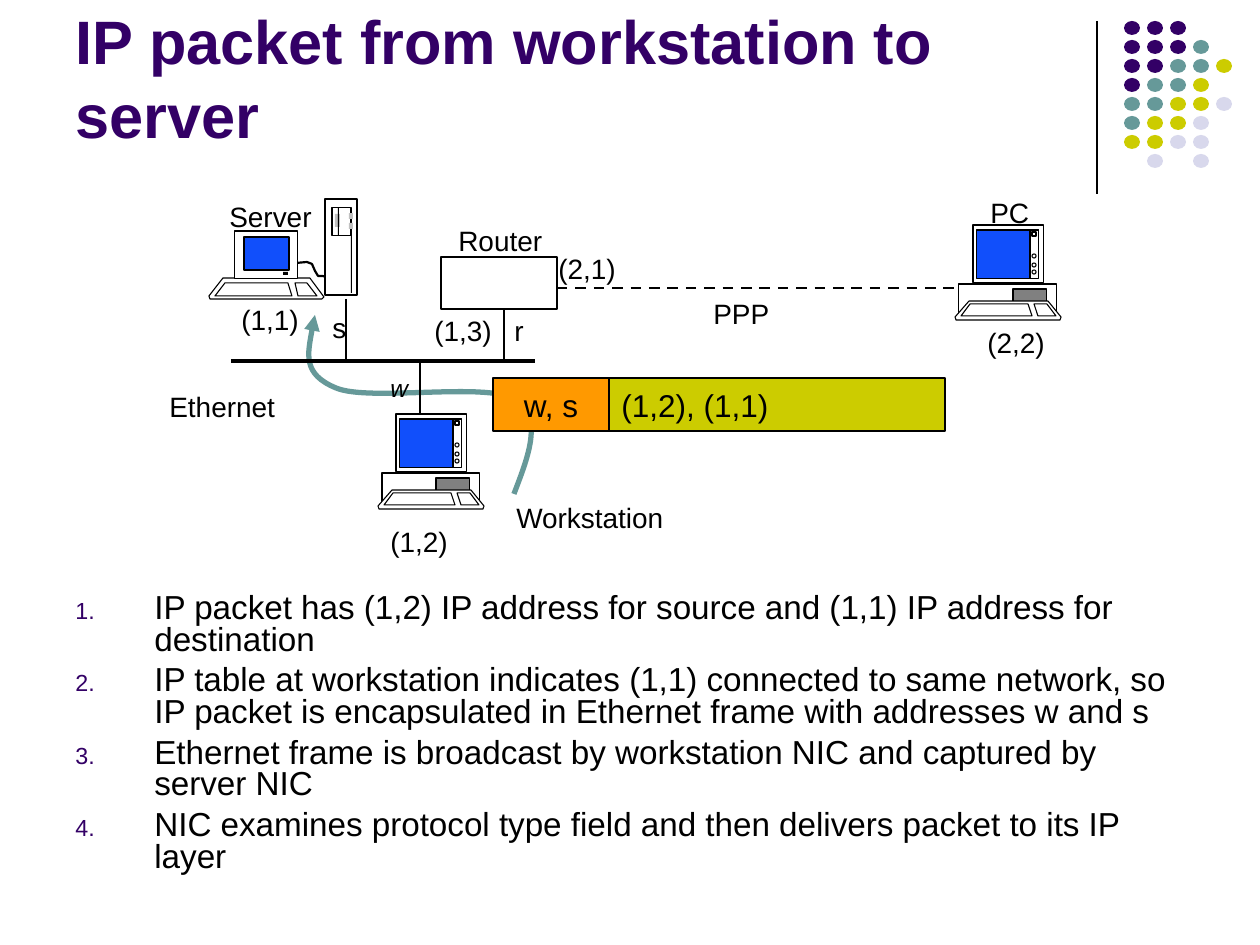
from typing import NamedTuple

from lxml import etree
from pptx import Presentation
from pptx.dml.color import RGBColor
from pptx.enum import dml, shapes, text
from pptx.oxml.ns import qn
from pptx.util import Pt

PX = 914400 / 126  # EMU per px
FONT = "Arial"
BLACK, WHITE, BLUE, GREY, SILVER = "000000", "FFFFFF", "114FFB", "808080", "C0C0C0"
PURPLE, TEAL, OLIVE, LILAC, ORANGE = "330066", "669999", "CCCC00", "D8D8EC", "FF9900"
RECT, OVAL = shapes.MSO_SHAPE.RECTANGLE, shapes.MSO_SHAPE.OVAL
THIN = 0.62


class Box(NamedTuple):
    x: int
    y: int
    w: int
    h: int
    fill: str = WHITE
    line: float = THIN
    kind: int = RECT


class Outline(NamedTuple):
    points: list
    closed: bool = True
    fill: str | None = WHITE
    line: float = THIN
    colour: str = BLACK


class Wire(NamedTuple):
    x1: int
    y1: int
    x2: int
    y2: int
    width: float = 1
    dashed: bool = False


class Label(NamedTuple):
    text: str
    x: int
    y: int
    w: int
    size: int = 16
    italic: bool = False


def emu(px: float) -> int:
    return round(px * PX)


def rgb(value: str) -> RGBColor:
    return RGBColor.from_string(value)


def paint(sp, fill: str | None, line: float, colour: str = BLACK) -> None:
    sp.shadow.inherit = False
    if fill:
        sp.fill.solid()
        sp.fill.fore_color.rgb = rgb(fill)
    else:
        sp.fill.background()
    if line:
        sp.line.color.rgb = rgb(colour)
        sp.line.width = Pt(line)
    else:
        sp.line.fill.background()


def add_box(tree, b: Box, dx: int = 0, dy: int = 0):
    sp = tree.add_shape(b.kind, emu(b.x + dx), emu(b.y + dy), emu(b.w), emu(b.h))
    paint(sp, b.fill, b.line)
    return sp


def add_outline(tree, o: Outline, dx: int = 0, dy: int = 0):
    start, *rest = [(x + dx, y + dy) for x, y in o.points]
    builder = tree.build_freeform(*start, scale=PX)
    builder.add_line_segments(rest, close=o.closed)
    sp = builder.convert_to_shape()
    paint(sp, o.fill, o.line, o.colour)
    return sp


def add_device(tree, parts: list, x: int, y: int) -> None:
    group = tree.add_group_shape().shapes
    for part in parts:
        draw = add_box if isinstance(part, Box) else add_outline
        draw(group, part, x, y)


def add_wire(tree, w: Wire) -> None:
    line = tree.add_connector(shapes.MSO_CONNECTOR.STRAIGHT,
                              emu(w.x1), emu(w.y1), emu(w.x2), emu(w.y2))
    line.line.color.rgb = rgb(BLACK)
    line.line.width = Pt(w.width)
    if w.dashed:
        line.line.dash_style = dml.MSO_LINE.DASH
    etree.SubElement(line._element.spPr, qn("a:effectLst"))


def style(p, size: float, colour: str = BLACK, bold: bool = False, italic: bool = False) -> None:
    for r in p.runs:
        r.font.name, r.font.size = FONT, Pt(size)
        r.font.bold, r.font.italic = bold, italic
        r.font.color.rgb = rgb(colour)


def add_text(tree, x: int, y: int, w: int, h: int, wrap: bool = True):
    tf = tree.add_textbox(emu(x), emu(y), emu(w), emu(h)).text_frame
    tf.word_wrap = wrap
    return tf


def add_label(tree, label: Label) -> None:
    tf = add_text(tree, label.x, label.y, label.w, 43 if label.italic else 47, wrap=False)
    tf.auto_size = text.MSO_AUTO_SIZE.SHAPE_TO_FIT_TEXT
    tf.text = label.text
    style(tf.paragraphs[0], label.size, italic=label.italic)


def add_number(p, indent: int) -> None:
    pPr = p._p.get_or_add_pPr()
    pPr.set("marL", str(emu(indent)))
    pPr.set("indent", str(-emu(indent)))
    colour = etree.SubElement(pPr, qn("a:buClr"))
    etree.SubElement(colour, qn("a:srgbClr"), val=PURPLE)
    etree.SubElement(pPr, qn("a:buSzPct"), val="70000")
    etree.SubElement(pPr, qn("a:buAutoNum"), type="arabicPeriod")


def bend(sp) -> None:
    """Turn each three line segments of a freeform into one cubic curve."""
    segments = list(sp._element.iter(qn("a:lnTo")))
    for i in range(0, len(segments), 3):
        curve = etree.Element(qn("a:cubicBezTo"))
        segments[i].addprevious(curve)
        for segment in segments[i:i + 3]:
            curve.append(segment[0])
            segment.getparent().remove(segment)


# Devices, measured from their own top left corner
DESKTOP = [
    Box(4, 59, 98, 30), Box(58, 64, 34, 14, GREY),
    Outline([(14, 76), (93, 76), (106, 92), (105, 95), (1, 95), (0, 92)]),
    Outline([(15, 79), (73, 79), (77, 91), (6, 91)]),
    Outline([(79, 79), (92, 79), (101, 91), (83, 91)]),
    Box(18, 0, 71, 58), Box(22, 5, 62, 49, BLUE), Box(75, 5, 9, 49), Box(77, 7, 4, 4),
    *[Box(77, y, 4, 4, kind=OVAL) for y in (29, 38, 45)],
]
SERVER = [
    Outline([(87, 64), (98, 63), (103, 65), (106, 72), (109, 77), (113, 77), (118, 78)],
            closed=False, fill=None, line=1.25),
    Outline([(14, 79), (101, 79), (115, 98), (113, 100), (1, 100), (0, 97)]),
    Outline([(16, 84), (79, 84), (83, 97), (6, 97)]),
    Outline([(86, 84), (98, 84), (108, 97), (89, 97)]),
    Box(26, 32, 63, 48), Box(35, 38, 45, 33, BLUE), Box(74, 73, 5, 3, BLACK, 0),
    Box(116, 0, 32, 96), Box(123, 9, 19, 28), Box(142, 35, 1, 59, BLACK, 0),
    Box(126, 15, 5, 13, SILVER, 0), Box(129, 9, 1, 28, BLACK, 0),
    *[Box(140, y, 4, 6, SILVER, 0) for y in (14, 24)],
]
WIRES = [
    Wire(231, 361, 535, 361, 2.25),
    Wire(346, 299, 346, 361), Wire(420, 361, 420, 414), Wire(504, 309, 504, 361),
    Wire(557, 288, 955, 288, 1.5, True),
]
LABELS = [
    Label("(1,1)", 229, 296, 84), Label("s", 320, 304, 41), Label("(1,2)", 378, 518, 84),
    Label("w", 378, 367, 45, 14, True), Label("(2,1)", 546, 245, 84),
    Label("(1,3)", 422, 307, 84), Label("r", 502, 307, 36), Label("(2,2)", 975, 319, 84),
    Label("PPP", 701, 290, 83), Label("Ethernet", 157, 383, 133), Label("PC", 978, 189, 66),
    Label("Server", 217, 193, 110), Label("Router", 446, 217, 111),
    Label("Workstation", 504, 494, 175),
]
DOT_COLOURS = {"P": PURPLE, "T": TEAL, "Y": OLIVE, "L": LILAC}
DOT_ROWS = ["PPP", "PPPT", "PPTTY", "PTTY", "TTYYL", "TYYL", "YYLL", "-L-L"]
STEPS = [
    "IP packet has (1,2) IP address for source and (1,1) IP address for destination",
    "IP table at workstation indicates (1,1) connected to same network, so IP packet is "
    "encapsulated in Ethernet frame with addresses w and s",
    "Ethernet frame is broadcast by workstation NIC and captured by server NIC",
    "NIC examines protocol type field and then delivers packet to its IP layer",
]


def main() -> None:
    prs = Presentation()
    prs.slide_width, prs.slide_height = emu(1260), emu(945)
    tree = prs.slides.add_slide(prs.slide_layouts[6]).shapes

    # Corner decoration
    add_wire(tree, Wire(1097, 21, 1097, 194, 0.75))
    dots = tree.add_group_shape().shapes
    for row, codes in enumerate(DOT_ROWS):
        for col, code in enumerate(codes):
            if code in DOT_COLOURS:
                add_box(dots, Box(1124 + 23 * col, 21 + 19 * row, 16, 14,
                                  DOT_COLOURS[code], 0, OVAL))

    # Route of the packet
    route = add_outline(tree, Outline(
        [(514, 494), (529, 455), (544, 417), (514, 399), (485, 382),
         (369, 402), (336, 388), (302, 374), (309, 345), (315, 315)],
        closed=False, fill=None, line=3, colour=TEAL))
    bend(route)
    etree.SubElement(route.line._get_or_add_ln(), qn("a:tailEnd"), type="triangle")

    # Title
    tf = add_text(tree, 63, 16, 1040, 141)
    tf.vertical_anchor = text.MSO_ANCHOR.BOTTOM
    tf.text = "IP packet from workstation to server"
    style(tf.paragraphs[0], 35, PURPLE, bold=True)

    # Numbered steps
    tf = add_text(tree, 63, 588, 1134, 315)
    tf.text = "\n".join(STEPS)
    for i, p in enumerate(tf.paragraphs):
        p.line_spacing = 0.8
        p.space_before = Pt(4.8 if i else 0)
        add_number(p, 79)
        style(p, 19)

    # Network
    for wire in WIRES:
        add_wire(tree, wire)
    add_device(tree, DESKTOP, 378, 414)
    add_device(tree, DESKTOP, 955, 225)
    add_device(tree, SERVER, 209, 199)
    add_box(tree, Box(441, 257, 116, 52, line=1))
    for label in LABELS:
        add_label(tree, label)

    # Ethernet frame: addresses and payload
    for box, words, align in (
        (Box(609, 378, 336, 53, OLIVE, 0.75), "(1,2), (1,1)", text.PP_ALIGN.LEFT),
        (Box(493, 378, 116, 53, ORANGE, 0.75), "w, s", text.PP_ALIGN.CENTER),
    ):
        tf = add_box(tree, box).text_frame
        tf.text = words
        tf.vertical_anchor = text.MSO_ANCHOR.MIDDLE
        tf.paragraphs[0].alignment = align
        style(tf.paragraphs[0], 18)

    prs.save("out.pptx")


if __name__ == "__main__":
    main()
